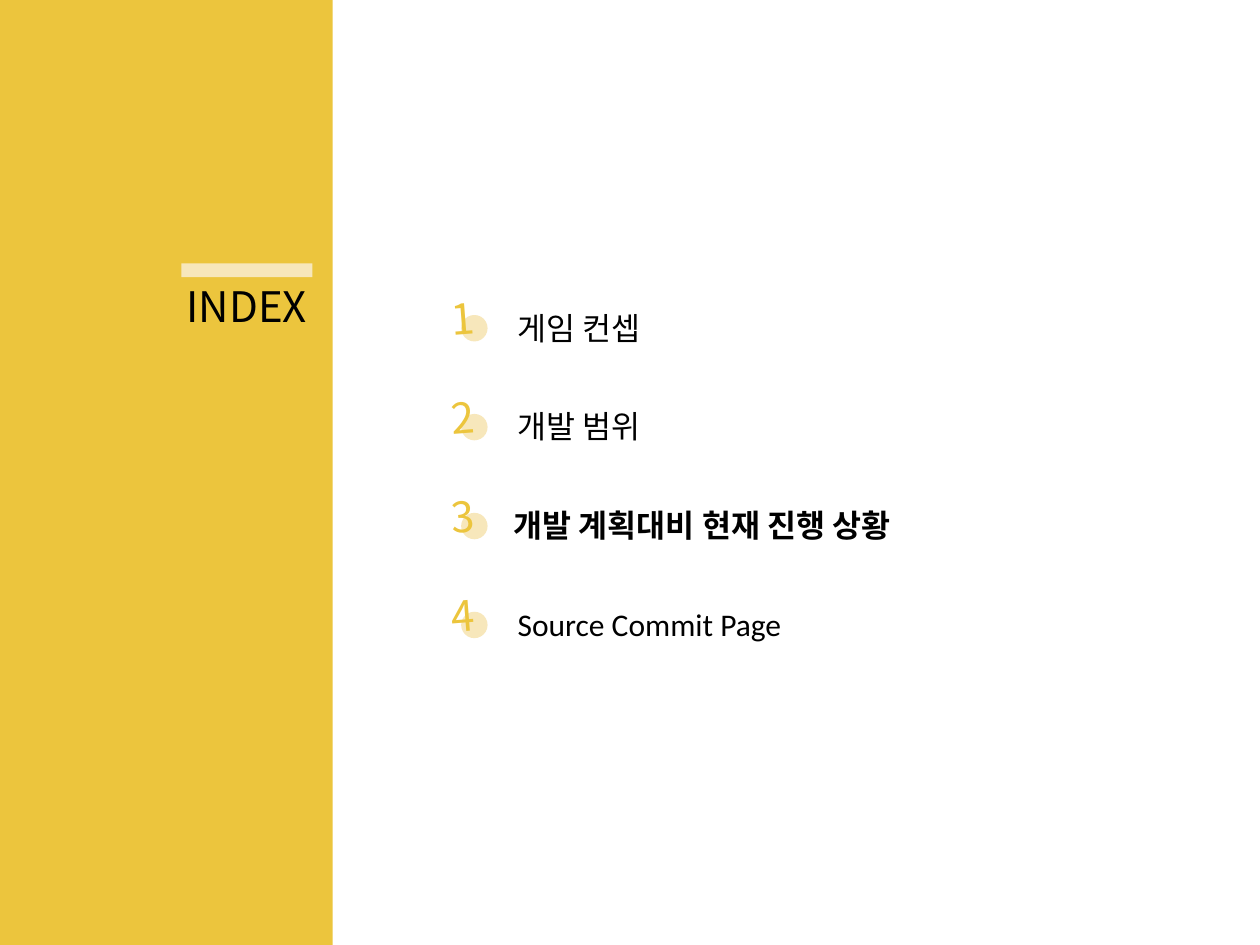
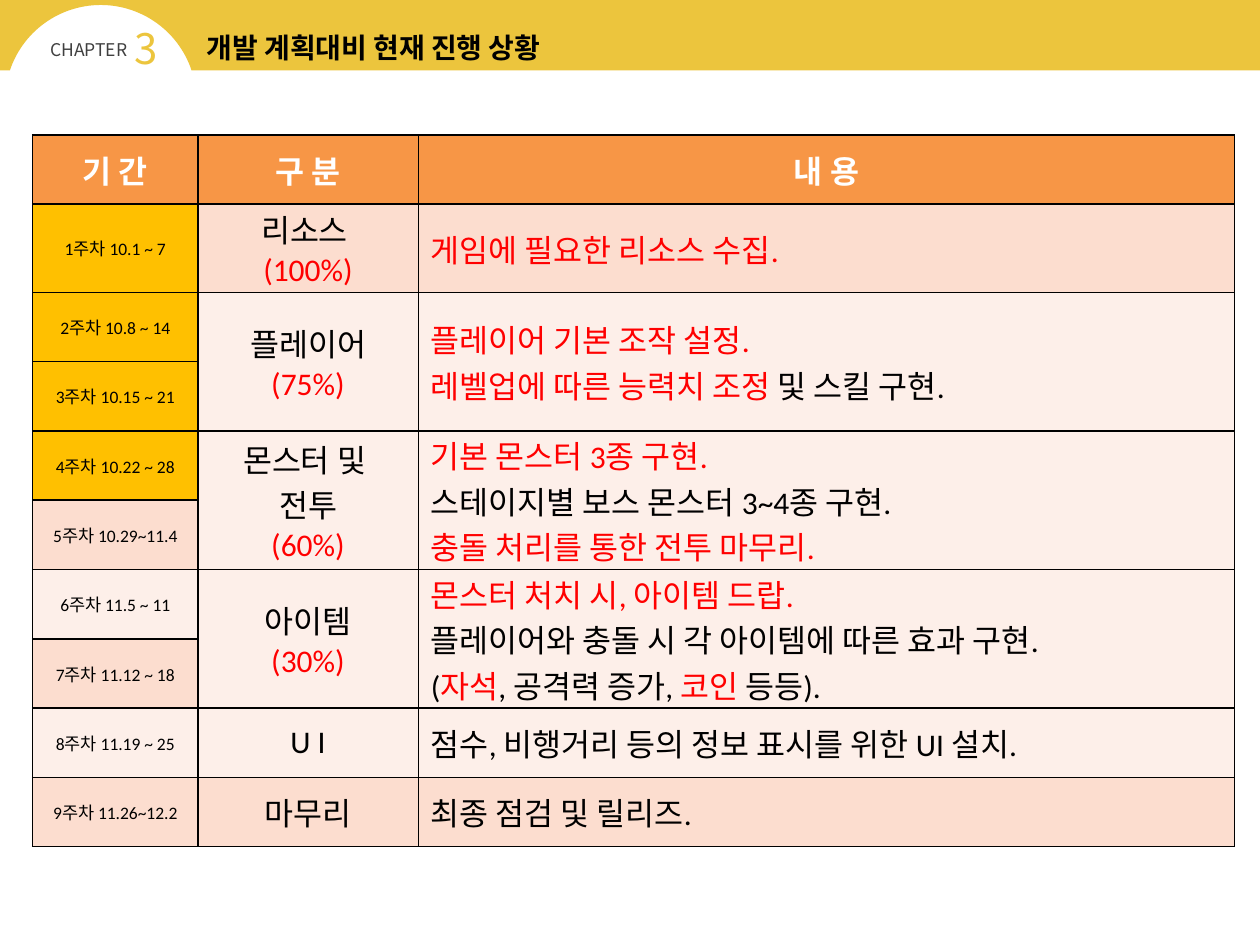
import math
from lxml import etree
from pptx import Presentation
from pptx import util as u
from pptx.dml.color import RGBColor
from pptx.enum import shapes, text
from pptx.oxml import ns

COLORS = {
    "gold": "ECC53D", "cream": "F7E7BB", "black": "000000", "gray": "404040",
    "white": "FFFFFF", "red": "FF0000", "header": "F79646", "done": "FFC000",
    "odd": "FCDDCF", "even": "FDEFE9",
}
SANS = "Noto Sans CJK KR"
BODY = "Calibri"
CHAPTER_TITLE = "개발 계획대비 현재 진행 상황"


def write(frame, lines, size=18, font=BODY, color="black", bold=False,
          align=text.PP_ALIGN.LEFT, anchor=text.MSO_ANCHOR.TOP):
    frame.word_wrap = True
    frame.vertical_anchor = anchor
    for index, line in enumerate(lines.split("\n")):
        para = frame.paragraphs[0] if index == 0 else frame.add_paragraph()
        para.alignment = align
        for part, words in enumerate(line.split("*")):
            if not words:
                continue
            span = para.add_run()
            span.text = words
            span.font.size = u.Pt(size)
            span.font.name = font
            span.font.bold = bold
            span.font.color.rgb = RGBColor.from_string(COLORS["red" if part % 2 else color])


def paint(shape, color):
    shape.shadow.inherit = False
    shape.fill.solid()
    shape.fill.fore_color.rgb = RGBColor.from_string(COLORS[color])
    shape.line.fill.background()


deck = Presentation()
deck.slide_width = u.Inches(10)
deck.slide_height = u.Inches(7.5)
title_only = deck.slide_layouts[5]
index_page = deck.slides.add_slide(title_only)
plan_page = deck.slides.add_slide(title_only)

for left, top, width, height, color in [(0, 0, 2.64, 7.5, "gold"),
                                        (1.44, 2.09, 1.04, 0.11, "cream")]:
    bar = index_page.shapes.add_shape(
        shapes.MSO_SHAPE.RECTANGLE, u.Inches(left), u.Inches(top),
        u.Inches(width), u.Inches(height))
    paint(bar, color)

entries = ["게임 컨셉", "개발 범위", CHAPTER_TITLE, "Source Commit Page"]
for number, entry in enumerate(entries, 1):
    shift = (number - 1) * 0.785
    current = entry == CHAPTER_TITLE
    dot = index_page.shapes.add_shape(
        shapes.MSO_SHAPE.OVAL, u.Inches(3.66), u.Inches(2.5 + shift),
        u.Inches(0.21), u.Inches(0.21))
    paint(dot, "cream")
    box = index_page.shapes.add_textbox(
        u.Inches(3.98 if current else 4.01), u.Inches(2.4 + shift),
        u.Inches(4.85 if current else 3.04), u.Inches(0.4))
    write(box.text_frame, entry, font=SANS if current else BODY, bold=current)
    box = index_page.shapes.add_textbox(
        u.Inches(3.48), u.Inches(2.27 + shift), u.Inches(0.47), u.Inches(0.5))
    box.rotation = 355.6
    write(box.text_frame, str(number), size=24, font=SANS, color="gold")

radius, center_x, center_y = 0.76, 0.8, 0.8
band_height = 0.56
start = math.asin((center_y - band_height) / radius)
points = [(10, 0), (10, band_height)]
for step in range(61):
    angle = start + (math.pi - 2 * start) * step / 60
    points.append((center_x + radius * math.cos(angle), center_y - radius * math.sin(angle)))
points.append((0, band_height))
builder = plan_page.shapes.build_freeform(0, 0)
builder.add_line_segments([(u.Inches(x), u.Inches(y)) for x, y in points], close=True)
paint(builder.convert_to_shape(), "gold")

for words, left, top, width, height, size, color in [
        ("3", 0.79, 0.13, 0.74, 0.5, 24, "gold"),
        ("CHAPTER", 0.26, 0.26, 0.89, 0.27, 10, "gray")]:
    box = plan_page.shapes.add_textbox(
        u.Inches(left), u.Inches(top), u.Inches(width), u.Inches(height))
    write(box.text_frame, words, size=size, font=SANS, color=color,
          align=text.PP_ALIGN.CENTER)

for page, words, left, top, width, height, size, bold in [
        (index_page, "INDEX", 1.38, 2.18, 1.24, 0.5, 24, False),
        (plan_page, CHAPTER_TITLE, 1.54, 0.19, 3.68, 0.37, 16, True)]:
    title = page.shapes.title
    title.left, title.top = u.Inches(left), u.Inches(top)
    title.width, title.height = u.Inches(width), u.Inches(height)
    title.text_frame.auto_size = text.MSO_AUTO_SIZE.NONE
    write(title.text_frame, words, size=size, font=SANS, bold=bold)
    page.shapes.element.append(title.element)

rows = [
    ("기 간", "구 분", "내 용"),
    ("1주차 10.1 ~ 7", "리소스 \n*(100%)*", "*게임에 필요한 리소스 수집. *"),
    ("2주차 10.8 ~ 14", "플레이어\n*(75%)*",
     "*플레이어 기본 조작 설정.*\n*레벨업에 따른 능력치 조정 *및 스킬 구현."),
    ("3주차 10.15 ~ 21",),
    ("4주차 10.22 ~ 28", "몬스터 및 \n전투\n*(60%)*",
     "*기본 몬스터 3종 구현.*\n스테이지별 보스 몬스터 3~4종 구현.\n*충돌 처리를 통한 전투 마무리.*"),
    ("5주차 10.29~11.4",),
    ("6주차 11.5 ~ 11", "아이템\n*(30%)*",
     "*몬스터 처치 시, 아이템 드랍.*\n플레이어와 충돌 시 각 아이템에 따른 효과 구현.\n"
     "(*자석*, 공격력 증가, *코인* 등등)."),
    ("7주차 11.12 ~ 18",),
    ("8주차 11.19 ~ 25", "U I", "점수, 비행거리 등의 정보 표시를 위한 UI 설치."),
    ("9주차 11.26~12.2", "마무리", "최종 점검 및 릴리즈."),
]
table = plan_page.shapes.add_table(
    len(rows), 3, u.Inches(0.26), u.Inches(1.07), u.Inches(9.54), u.Inches(5.65)).table
for column, width in zip(table.columns, [1.31, 1.75, 6.48]):
    column.width = u.Inches(width)

for r, row in enumerate(rows):
    table.rows[r].height = u.Inches(0.7 if r == 1 else 0.55)
    for c in range(3):
        cell = table.cell(r, c)
        fill = "odd" if r % 2 else "even"
        if r == 0:
            fill = "header"
        elif c == 0 and r <= 4:
            fill = "done"
        cell.fill.solid()
        cell.fill.fore_color.rgb = RGBColor.from_string(COLORS[fill])
        cell.vertical_anchor = text.MSO_ANCHOR.MIDDLE
        cell.margin_top = cell.margin_bottom = 0
        properties = cell._tc.get_or_add_tcPr()
        for place, side in enumerate(["lnL", "lnR", "lnT", "lnB"]):
            border = etree.Element(ns.qn("a:" + side), w=str(u.Pt(1)))
            solid = etree.SubElement(border, ns.qn("a:solidFill"))
            etree.SubElement(solid, ns.qn("a:srgbClr"), val=COLORS["black"])
            properties.insert(place, border)
        if c < len(row):
            write(cell.text_frame, row[c], size=10 if c == 0 and r else 18,
                  color="black" if r else "white", bold=r == 0,
                  align=text.PP_ALIGN.LEFT if c == 2 and r else text.PP_ALIGN.CENTER,
                  anchor=text.MSO_ANCHOR.MIDDLE)
        else:
            table.cell(r - 1, c).merge(cell)

deck.save("out.pptx")
